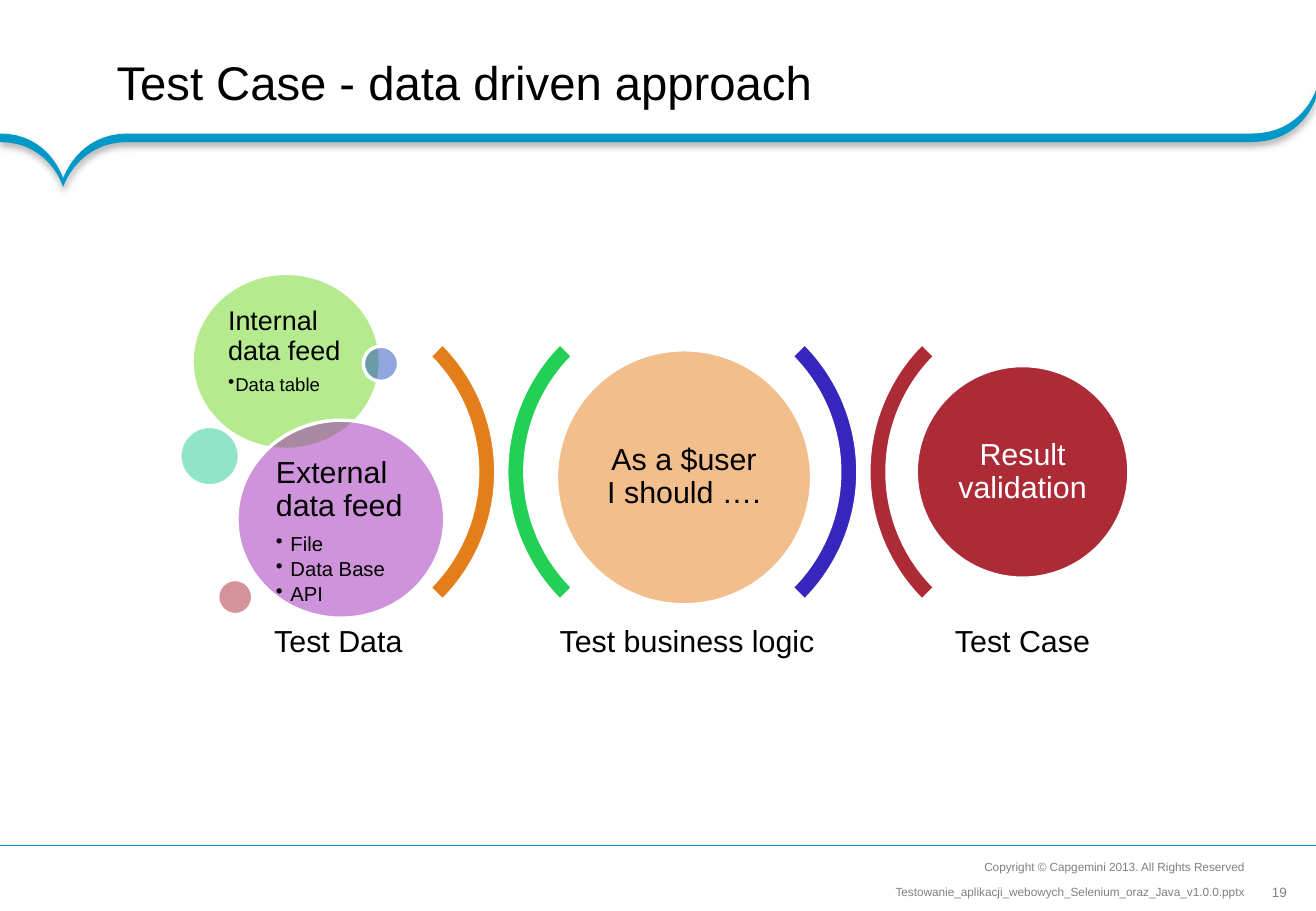
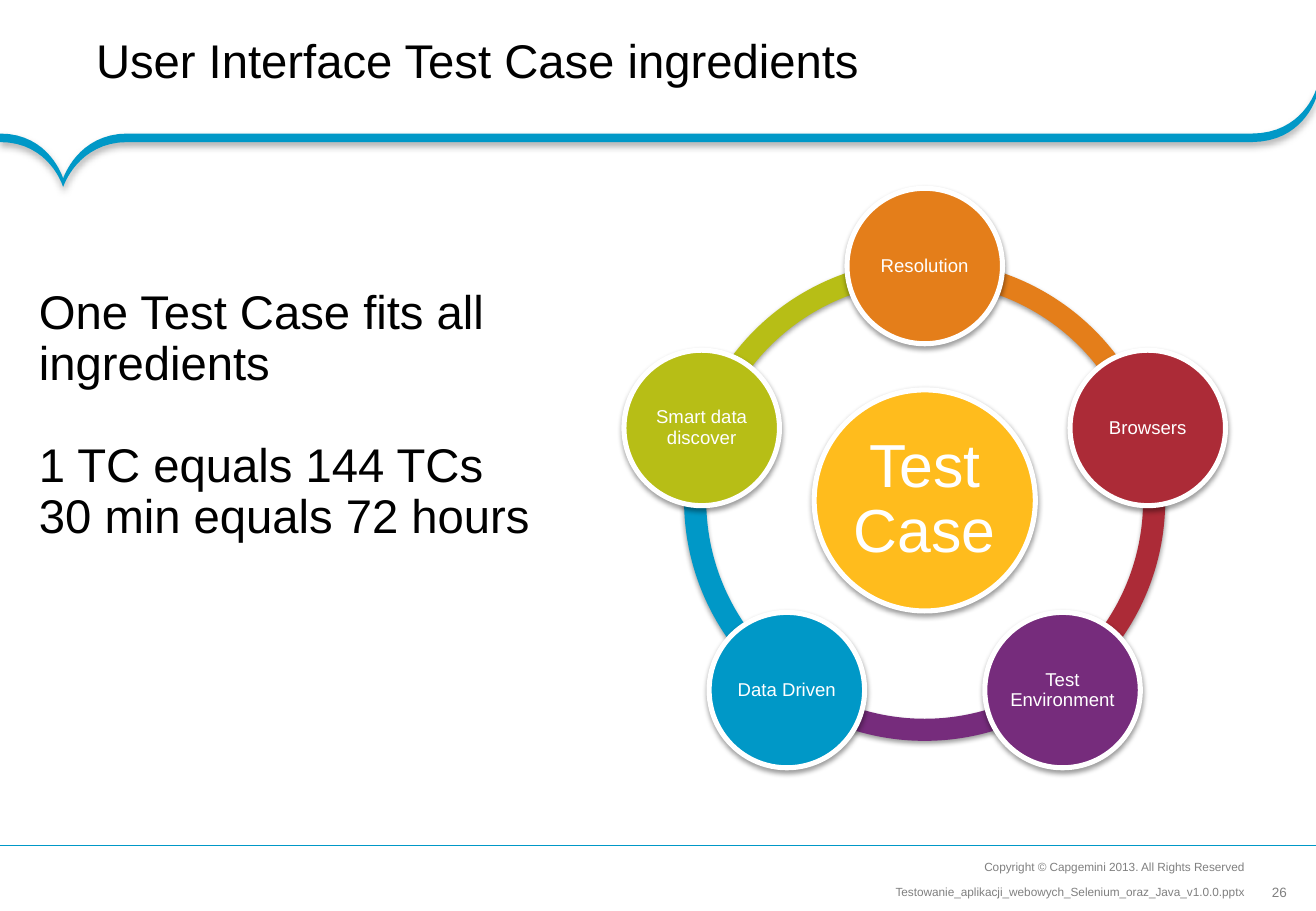
import math
import pptx
import pptx.util
import pptx.dml.color
import pptx.enum.shapes
import pptx.enum.text
import pptx.oxml.ns
from lxml import etree

RGB = pptx.dml.color.RGBColor
Pt = pptx.util.Pt
KIND = pptx.enum.shapes.MSO_SHAPE
ALIGN = pptx.enum.text.PP_ALIGN
ANCHOR = pptx.enum.text.MSO_ANCHOR
qn = pptx.oxml.ns.qn

BLACK = RGB(0, 0, 0)
WHITE = RGB(255, 255, 255)
GRAY = RGB(0x80, 0x80, 0x80)
BLUE = RGB(0x00, 0x98, 0xC7)
ORANGE = RGB(0xE4, 0x7E, 0x1A)
RED = RGB(0xAC, 0x2B, 0x37)
PLUM = RGB(0x76, 0x2C, 0x7C)
OLIVE = RGB(0xB7, 0xBE, 0x16)
GOLD = RGB(0xFF, 0xBC, 0x1D)
GREEN = RGB(0x21, 0xD0, 0x55)
INDIGO = RGB(0x36, 0x26, 0xBE)
LIME = RGB(0x6D, 0xD8, 0x1E)
TEAL = RGB(0x22, 0xCD, 0x93)
NAVY = RGB(0x25, 0x4D, 0xC1)
VIOLET = RGB(0x9E, 0x28, 0xB7)

FONT = "Arial"
PX = 9144
WIDE, HIGH = 1083, 750

WAVE = [
    [(105, 110)],
    [(64, 110), (52, 147), (52, 147)],
    [(52, 147), (41, 110), (0, 110)],
    [(0, 117)],
    [(41, 117), (52, 154), (52, 154)],
    [(52, 154), (64, 117), (105, 117)],
    [(1030, 117)],
    [(1072, 117), (1083, 81), (1083, 81)],
    [(1083, 74)],
    [(1083, 74), (1072, 110), (1030, 110)],
]
FOOTERS = [
    ((737, 703, 291, 21), "Copyright © Capgemini 2013. All Rights Reserved", 0.9),
    ((737, 724, 291, 20), "Testowanie_aplikacji_webowych_Selenium_oraz_Java_v1.0.0.pptx", 1.0),
]

ARCS = [(109, 90, ORANGE), (417, 270, GREEN), (407, 90, INDIGO), (715, 270, RED)]
LABELS = [(165, "Test Data"), (452, "Test business logic"), (728, "Test Case")]
FEEDS = [
    ((158, 225, 155, 145), LIME, [("Internal data feed", 16, 0, 5.6), ("Data table", 11, 6, 1.7)]),
    ((148, 351, 49, 49), TEAL, []),
    ((299, 285, 29, 29), NAVY, []),
    ((195, 346, 171, 163), VIOLET, [("External data feed", 18, 0, 6.3)]
     + [(name, 12, 12, 1.8) for name in ("File", "Data Base", "API")]),
    ((179, 477, 29, 29), RED, []),
]

NODES = [("Resolution", ORANGE), ("Browsers", RED), ("Test Environment", PLUM),
         ("Data Driven", BLUE), ("Smart data discover", OLIVE)]
CLAIMS = ["One Test Case fits all ingredients", "1 TC equals 144 TCs", "30 min equals 72 hours"]
HUB = (761, 412)
ORBIT, RIM, CORE, NODE = 193, 198, 91, 64


def emu(box):
    return [round(v * PX) for v in box]


def round_box(x, y, r):
    return (x - r, y - r, 2 * r, 2 * r)


def place(shape, box):
    shape.left, shape.top, shape.width, shape.height = emu(box)


def frame_up(shape, pads, anchor=ANCHOR.MIDDLE, wrap=True):
    frame = shape.text_frame
    frame.auto_size = pptx.enum.text.MSO_AUTO_SIZE.NONE
    frame.word_wrap = wrap
    frame.vertical_anchor = anchor
    side, top = (v * PX for v in pads)
    frame.margin_left = frame.margin_right = side
    frame.margin_top = frame.margin_bottom = top
    return frame


def add_para(frame, first, text, size, color, align=ALIGN.LEFT,
             ratio=0.9, dent=None, after=0, before=0):
    para = frame.paragraphs[0] if first else frame.add_paragraph()
    if dent is not None:
        props = para._p.get_or_add_pPr()
        props.set("marL", str(dent * PX))
        props.set("indent", str(-dent * PX))
        if dent:
            etree.SubElement(props, qn("a:buChar")).set("char", "•")
        else:
            etree.SubElement(props, qn("a:buNone"))
    para.alignment = align
    para.line_spacing = ratio
    para.space_before = Pt(before)
    para.space_after = Pt(after)
    run = para.add_run()
    run.text = text
    run.font.name = FONT
    run.font.size = Pt(size)
    run.font.color.rgb = color


def add_box(slide, box, text, size, color=BLACK, align=ALIGN.CENTER,
            pads=(7, 7), anchor=ANCHOR.MIDDLE, wrap=True, ratio=0.9):
    shape = slide.shapes.add_textbox(*emu(box))
    frame = frame_up(shape, pads, anchor, wrap)
    add_para(frame, True, text, size, color, align, ratio)
    return shape


def paint(shape, fill, edge=0, alpha=100, shade=None):
    shape.fill.solid()
    shape.fill.fore_color.rgb = fill
    if alpha < 100:
        tint = shape.element.spPr.find(qn("a:solidFill"))[0]
        etree.SubElement(tint, qn("a:alpha")).set("val", str(alpha * 1000))
    if edge:
        shape.line.color.rgb = WHITE
        shape.line.width = Pt(edge)
    else:
        shape.line.fill.background()
    shape.shadow.inherit = False
    if shade:
        dark, blur, dist = shade
        glow = etree.SubElement(shape.element.spPr.find(qn("a:effectLst")), qn("a:outerShdw"))
        for key, val in (("blurRad", Pt(blur)), ("dist", Pt(dist)), ("dir", 5400000), ("rotWithShape", 0)):
            glow.set(key, str(int(val)))
        ink = etree.SubElement(glow, qn("a:srgbClr"))
        ink.set("val", str(BLACK))
        etree.SubElement(ink, qn("a:alpha")).set("val", str(dark * 1000))


def add_disc(slide, box, fill, **look):
    shape = slide.shapes.add_shape(KIND.OVAL, *emu(box))
    paint(shape, fill, **look)
    return shape


def add_arc(slide, box, fill, start, end, thick, **look):
    shape = slide.shapes.add_shape(KIND.BLOCK_ARC, *emu(box))
    for spot, val in enumerate((start % 360 * 0.6, end % 360 * 0.6, thick)):
        shape.adjustments[spot] = val
    paint(shape, fill, **look)
    return shape


def trace(start, steps, count=16):
    dots = []
    for step in steps:
        if len(step) == 1:
            dots += step
        else:
            ends = [start] + step
            for n in range(1, count + 1):
                t = n / count
                mix = ((1 - t) ** 3, 3 * t * (1 - t) ** 2, 3 * t * t * (1 - t), t ** 3)
                dots.append(tuple(sum(m * e[k] for m, e in zip(mix, ends)) for k in (0, 1)))
        start = step[-1]
    return dots


def dress_master(deck, slide):
    first = WAVE[-1][-1]
    pen = slide.shapes.build_freeform(*emu(first), scale=1.0)
    pen.add_line_segments([emu(dot) for dot in trace(first, WAVE)], close=True)
    wave = pen.convert_to_shape()
    paint(wave, BLUE, shade=(31, 4, 2))
    rule = slide.shapes.add_connector(
        pptx.enum.shapes.MSO_CONNECTOR.STRAIGHT, *emu((WIDE, 696, 0, 696)))
    rule.line.color.rgb = BLUE
    rule.line.width = Pt(0.75)
    etree.SubElement(rule.element.spPr, qn("a:effectLst"))
    notes = [add_box(slide, box, text, 7, GRAY, ALIGN.RIGHT, (4, 4), ANCHOR.BOTTOM, False, ratio)
             for box, text, ratio in FOOTERS]
    for num, shape in enumerate([wave, rule] + notes, 20):
        shape.element.xpath(".//p:cNvPr")[0].set("id", str(num))
        deck.slide_master.shapes.element.append(shape.element)


def add_slide(deck, kind, title, box, page):
    slide = deck.slides.add_slide(deck.slide_layouts[kind])
    place(slide.shapes.title, box)
    frame = frame_up(slide.shapes.title, (10, 5), ANCHOR.TOP, False)
    add_para(frame, True, title, 28, BLACK)
    add_box(slide, (1046, 728, 14, 13), page, 8, GRAY, pads=(0, 0), wrap=False, ratio=1.0)
    return slide


def draw_flow(slide):
    for left, turn, color in ARCS:
        arc = add_arc(slide, (left, 239, 299, 299), color, 225, 315, 0.05, edge=2)
        arc.rotation = turn
    logic = add_disc(slide, (458, 288, 210, 210), ORANGE, edge=2, alpha=50)
    add_para(frame_up(logic, (11, 0)), True, "As a $user I should ….", 18, BLACK, ALIGN.CENTER)
    for box, color, lines in FEEDS:
        disc = add_disc(slide, box, color, edge=2, alpha=50)
        frame = frame_up(disc, (7, 7), ANCHOR.TOP)
        for n, (text, size, dent, after) in enumerate(lines):
            add_para(frame, n == 0, text, size, BLACK, dent=dent, after=after)
    result = add_disc(slide, (754, 301, 175, 175), RED, edge=2)
    add_para(frame_up(result, (7, 7)), True, "Result validation", 18, WHITE, ALIGN.CENTER)
    for left, text in LABELS:
        add_box(slide, (left, 499, 227, 60), text, 18)


def draw_wheel(slide):
    shade = (38, 3.1, 1.6)
    step = 360 / len(NODES)
    turns = [270 + step * n for n in range(len(NODES))]
    for turn, (text, color) in reversed(list(zip(turns, NODES))):
        add_arc(slide, round_box(*HUB, RIM), color, turn, turn + step, 0.046, shade=shade)
    discs = [(HUB, CORE, "Test Case", GOLD, 36, 5)]
    for turn, (text, color) in zip(turns, NODES):
        rad = math.radians(turn)
        spot = (HUB[0] + ORBIT * math.cos(rad), HUB[1] + ORBIT * math.sin(rad))
        discs.append((spot, NODE, text, color, 11, 2))
    for spot, size, text, color, font, pad in discs:
        disc = add_disc(slide, round_box(*spot, size), color, edge=3, shade=shade)
        add_para(frame_up(disc, (pad, pad)), True, text, font, WHITE, ALIGN.CENTER)
    body = slide.placeholders[1]
    place(body, (22, 233, 480, 265))
    frame = frame_up(body, (10, 5), ANCHOR.TOP)
    for n, text in enumerate(CLAIMS):
        add_para(frame, n == 0, text, 28, BLACK, dent=0, before=30 if n == 1 else 0)


def main():
    deck = pptx.Presentation()
    deck.slide_width, deck.slide_height = emu((WIDE, HIGH))
    flow = add_slide(deck, 5, "Test Case - data driven approach", (86, 44, 600, 95), "19")
    dress_master(deck, flow)
    draw_flow(flow)
    wheel = add_slide(deck, 1, "User Interface Test Case ingredients", (69, 26, 656, 74), "26")
    draw_wheel(wheel)
    deck.save("out.pptx")


if __name__ == "__main__":
    main()
